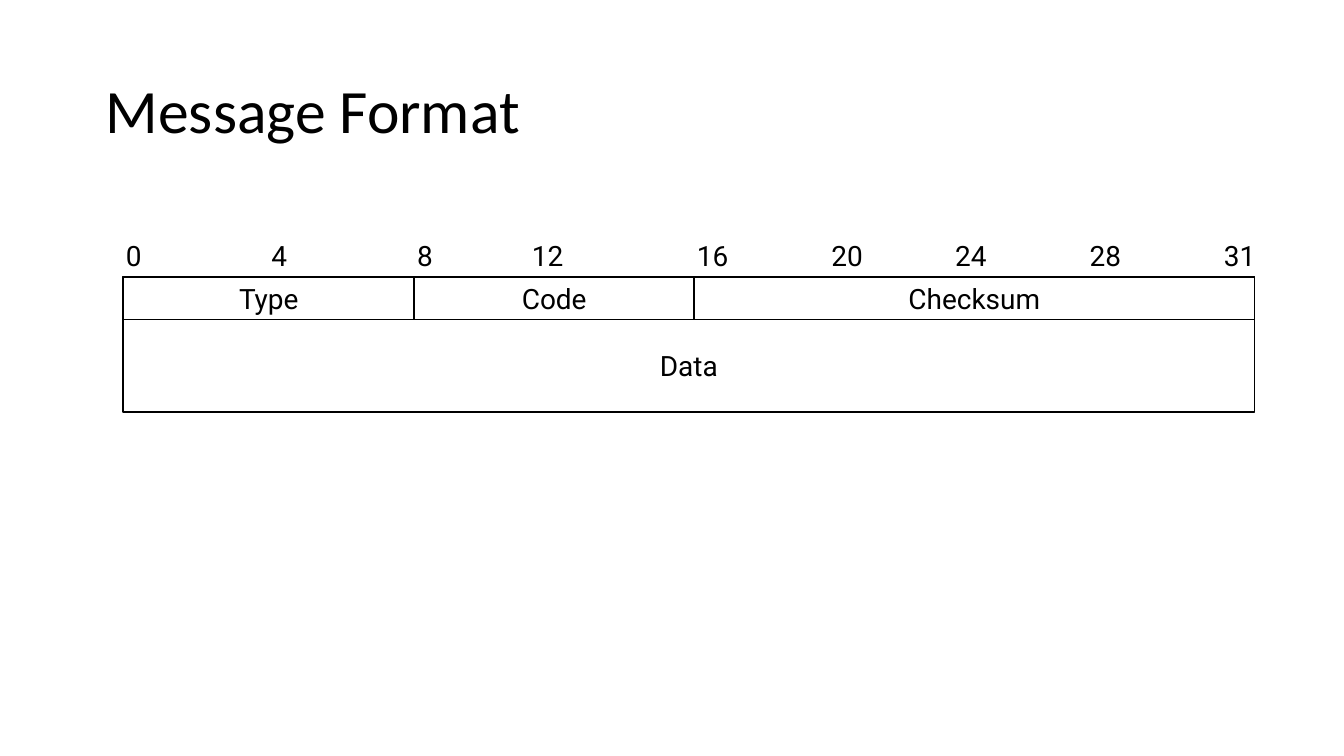
from pptx import Presentation
from pptx.dml.color import RGBColor
from pptx.enum import shapes, text
from pptx.util import Cm, Pt

TITLE = "Message Format"
# Each row: height, then (name, width) of its fields, in cm
ROWS = [
    (0.8, [("Type", 5.5), ("Code", 5.29), ("Checksum", 10.59)]),
    (1.75, [("Data", 21.38)]),
]
# Bit number and the centre of its label, in cm
BITS = [("0", 2.53), ("4", 5.28), ("8", 8.03), ("12", 10.35), ("16", 13.47),
        ("20", 16.01), ("24", 18.35), ("28", 20.89), ("31", 23.43)]
LEFT, TOP, WIDTH, HEIGHT = 2.33, 5.24, 21.38, 2.54
BIT_TOP, BIT_HIGH = 4.39, 0.86
INK = "000000"


def color(code):
    return RGBColor.from_string(code)


def write(shape, words, size=15, font="Roboto", align=text.PP_ALIGN.CENTER,
          wrap=False, pad=(0.24, 0.11), space=1.0):
    frame = shape.text_frame
    frame.word_wrap = wrap
    frame.vertical_anchor = text.MSO_ANCHOR.MIDDLE
    frame.margin_left = frame.margin_right = Cm(pad[0])
    frame.margin_top = frame.margin_bottom = Cm(pad[1])
    para = frame.paragraphs[0]
    para.alignment = align
    para.line_spacing = space
    run = para.add_run()
    run.text = words
    run.font.size = Pt(size)
    run.font.name = font
    run.font.color.rgb = color(INK)


def add_box(x, y, wide, high):
    box = slide.shapes.add_shape(shapes.MSO_SHAPE.RECTANGLE,
                                 Cm(x), Cm(y), Cm(wide), Cm(high))
    box.shadow.inherit = False
    box.fill.background()
    box.line.color.rgb = color(INK)
    box.line.width = Pt(1)
    return box


def add_label(x, y, wide, high):
    return slide.shapes.add_textbox(Cm(x), Cm(y), Cm(wide), Cm(high))


deck = Presentation()
deck.slide_width, deck.slide_height = Cm(25.4), Cm(14.29)
slide = deck.slides.add_slide(deck.slide_layouts[6])

write(add_label(1.75, 0.76, 21.9, 2.77), TITLE, size=33, font="Calibri",
      align=text.PP_ALIGN.LEFT, wrap=True, pad=(0.25, 0.13), space=0.9)

add_box(LEFT, TOP, WIDTH, HEIGHT)
y = TOP
for high, fields in ROWS:
    x = LEFT
    for name, wide in fields:
        write(add_box(x, y, wide, high), name)
        x += wide
    y += high

for bit, mid in BITS:
    wide = 0.48 + 0.28 * len(bit)
    write(add_label(mid - wide / 2, BIT_TOP, wide, BIT_HIGH), bit,
          pad=(0.15, 0.11))

deck.save("out.pptx")
